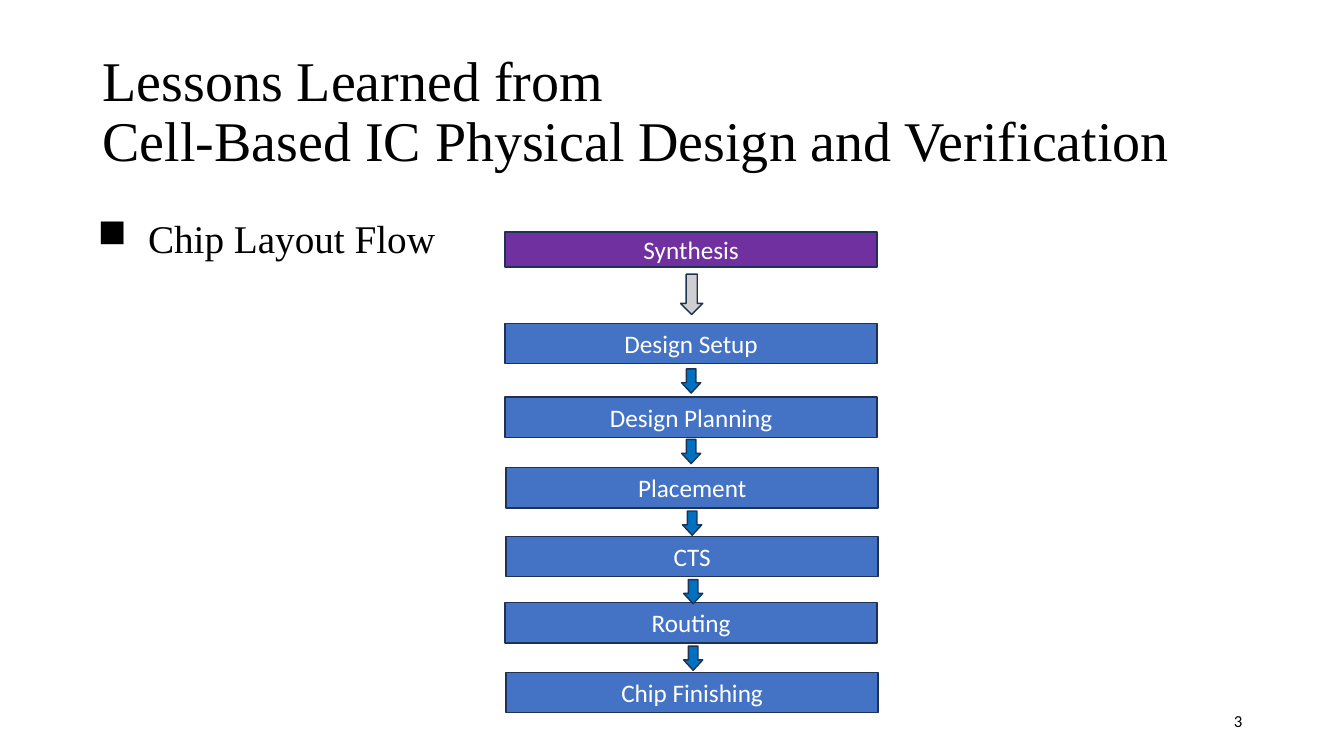
"""Build the chip layout flow slide."""
from dataclasses import dataclass

import lxml.etree
import pptx
import pptx.dml.color
import pptx.enum.shapes
import pptx.enum.text
import pptx.oxml.ns
import pptx.shapes.autoshape
import pptx.slide
import pptx.text.text
import pptx.util

Inches = pptx.util.Inches
Align = pptx.enum.text.PP_ALIGN
Anchor = pptx.enum.text.MSO_ANCHOR
Preset = pptx.enum.shapes.MSO_SHAPE


@dataclass(frozen=True)
class Theme:
    """Colours, fonts and type sizes of the slide."""

    ink: str = "000000"
    white: str = "FFFFFF"
    outline: str = "1E3256"
    synthesis: str = "7030A0"
    stage: str = "4472C4"
    handoff: str = "D0CECE"
    arrow: str = "0070C0"
    serif: str = "Times New Roman"
    sans: str = "Calibri"
    title_size: int = 40
    bullet_size: int = 28
    stage_size: int = 18
    number_size: int = 12


@dataclass(frozen=True)
class Frame:
    """Position and size in inches."""

    left: float
    top: float
    width: float
    height: float

    def lengths(self) -> list[pptx.util.Length]:
        """Return the four measures as lengths."""
        return [Inches(n) for n in (self.left, self.top, self.width, self.height)]


@dataclass(frozen=True)
class Stage:
    """One box of the flow."""

    label: str
    left: float
    top: float
    height: float
    fill: str


@dataclass(frozen=True)
class Arrow:
    """One down arrow of the flow."""

    frame: Frame
    fill: str
    head: float


THEME = Theme()
STAGE_WIDTH = 3.69
STAGES = [Stage("Synthesis", 5.01, 2.3, 0.35, THEME.synthesis)] + [
    Stage(label, left, top, 0.4, THEME.stage)
    for label, left, top in (
        ("Design Setup", 5.01, 3.21),
        ("Design Planning", 5.01, 3.94),
        ("Placement", 5.02, 4.64),
        ("CTS", 5.02, 5.32),
        ("Routing", 5.01, 5.98),
        ("Chip Finishing", 5.02, 6.67),
    )
]
ARROWS = [Arrow(Frame(6.75, 2.72, 0.22, 0.4), THEME.handoff, 0.5)] + [
    Arrow(Frame(left, top, 0.19, 0.24), THEME.arrow, 0.54)
    for left, top in ((6.76, 3.66), (6.76, 4.36), (6.77, 5.07), (6.78, 5.75), (6.78, 6.41))
]


def rgb(value: str) -> pptx.dml.color.RGBColor:
    """Return a colour from its hex value."""
    return pptx.dml.color.RGBColor.from_string(value)


def write(box: pptx.shapes.autoshape.Shape, text: str, face: str, size: int, color: str,
          align: Align = Align.LEFT, anchor: Anchor = Anchor.MIDDLE) -> pptx.text.text._Paragraph:
    """Put one styled paragraph into a box."""
    frame = box.text_frame
    frame.word_wrap = True
    frame.vertical_anchor = anchor
    para = frame.paragraphs[0]
    para.text = text
    para.alignment = align
    para.font.name = face
    para.font.size = pptx.util.Pt(size)
    para.font.color.rgb = rgb(color)
    return para


def add_bullet(para: pptx.text.text._Paragraph, mark: str, indent: float) -> None:
    """Give a paragraph a hanging bullet."""
    props = para._p.get_or_add_pPr()
    props.set("marL", str(Inches(indent)))
    props.set("indent", str(-Inches(indent)))
    bullet = lxml.etree.Element(pptx.oxml.ns.qn("a:buChar"), char=mark)
    props.insert(0, bullet)


def add_preset(page: pptx.slide.Slide, kind: Preset, frame: Frame,
               fill: str) -> pptx.shapes.autoshape.Shape:
    """Draw a filled and outlined preset shape."""
    shape = page.shapes.add_shape(kind, *frame.lengths())
    shape.shadow.inherit = False
    shape.fill.solid()
    shape.fill.fore_color.rgb = rgb(fill)
    shape.line.color.rgb = rgb(THEME.outline)
    shape.line.width = pptx.util.Pt(1)
    return shape


def add_stage(page: pptx.slide.Slide, stage: Stage) -> None:
    """Draw a labelled stage box."""
    frame = Frame(stage.left, stage.top, STAGE_WIDTH, stage.height)
    box = add_preset(page, Preset.RECTANGLE, frame, stage.fill)
    write(box, stage.label, THEME.sans, THEME.stage_size, THEME.white, Align.CENTER)


def add_arrow(page: pptx.slide.Slide, arrow: Arrow) -> None:
    """Draw a down arrow."""
    shape = add_preset(page, Preset.DOWN_ARROW, arrow.frame, arrow.fill)
    shape.adjustments[1] = arrow.head


def main() -> None:
    """Build and save the deck."""
    deck = pptx.Presentation()
    deck.slide_width, deck.slide_height = Inches(13.33), Inches(7.5)
    page = deck.slides.add_slide(deck.slide_layouts[6])

    title = page.shapes.add_textbox(*Frame(0.92, 0.4, 11.5, 1.45).lengths())
    heading = write(title, "Lessons Learned from\vCell-Based IC Physical Design and Verification",
                    THEME.serif, THEME.title_size, THEME.ink)
    heading.line_spacing = 0.9

    number = page.shapes.add_textbox(*Frame(9.42, 6.95, 3, 0.4).lengths())
    write(number, "3", THEME.sans, THEME.number_size, THEME.ink, Align.RIGHT)

    for stage in STAGES:
        add_stage(page, stage)
    for arrow in ARROWS:
        add_arrow(page, arrow)

    topic = page.shapes.add_textbox(*Frame(0.87, 2.08, 3.63, 0.57).lengths())
    para = write(topic, "Chip Layout Flow", THEME.serif, THEME.bullet_size, THEME.ink,
                 anchor=Anchor.TOP)
    add_bullet(para, "■", 0.5)

    deck.save("out.pptx")


if __name__ == "__main__":
    main()
